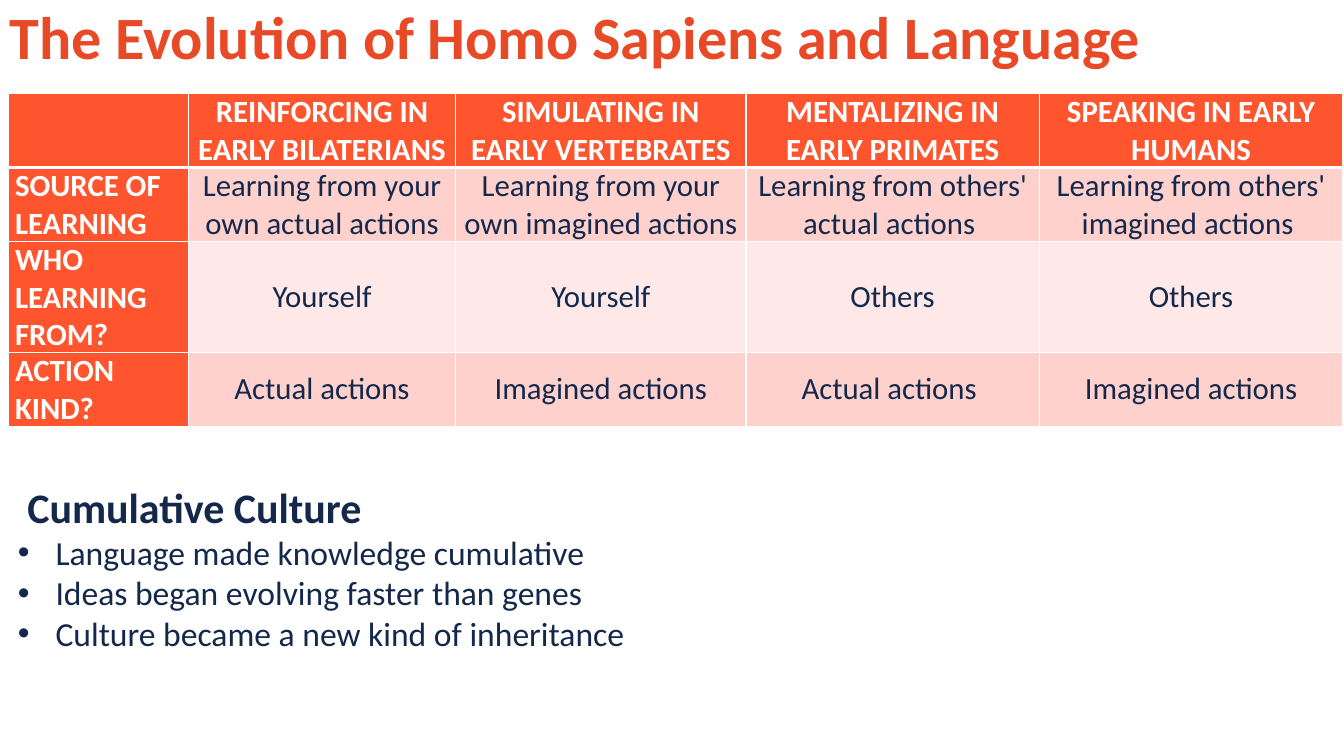
from lxml.etree import SubElement
from pptx import Presentation
from pptx.dml.color import RGBColor
from pptx.enum.text import MSO_ANCHOR as Anchor, PP_ALIGN as Align
from pptx.oxml.ns import qn
from pptx.util import Cm, Pt

COLORS = {
    "title": "E84A27",
    "navy": "13284B",
    "white": "FFFFFF",
    "header": "FF552E",
    "band_dark": "FFD1CD",
    "band_light": "FFE9E8",
}

COLUMN_WIDTHS = [4.55, 6.73, 7.32, 7.39, 7.65]
ROW_HEIGHTS = [1.7, 1.52, 2.57, 1.7]
STAGES = [
    ["", "REINFORCING IN EARLY BILATERIANS", "SIMULATING IN EARLY VERTEBRATES",
     "MENTALIZING IN EARLY PRIMATES", "SPEAKING IN EARLY HUMANS"],
    ["SOURCE OF LEARNING", "Learning from your own actual actions",
     "Learning from your own imagined actions",
     "Learning from others' actual actions ",
     "Learning from others' imagined actions "],
    ["WHO LEARNING FROM?", "Yourself", "Yourself", "Others", "Others"],
    ["ACTION KIND?", "Actual actions", "Imagined actions",
     "Actual actions ", "Imagined actions"],
]
CULTURE_POINTS = [
    "Language made knowledge cumulative",
    "Ideas began evolving faster than genes",
    "Culture became a new kind of inheritance",
]


class SlideBuilder:
    font_name = "Calibri"

    def __init__(self, slide):
        self.slide = slide

    def color(self, name):
        return RGBColor.from_string(COLORS[name])

    def style(self, paragraph, size, color, bold=False):
        font = paragraph.font
        font.name, font.size, font.bold = self.font_name, Pt(size), bold
        font.color.rgb = self.color(color)

    def text_frame(self, left, top, width, height):
        box = self.slide.shapes.add_textbox(Cm(left), Cm(top), Cm(width), Cm(height))
        box.text_frame.word_wrap = True
        return box.text_frame

    def title(self, text, *place):
        frame = self.text_frame(*place)
        frame.vertical_anchor = Anchor.MIDDLE
        heading = frame.paragraphs[0]
        heading.text = text
        heading.line_spacing = 0.9
        self.style(heading, 42.9, "title", bold=True)

    def bullet_list(self, heading_text, points, *place):
        frame = self.text_frame(*place)
        heading = frame.paragraphs[0]
        heading.text = heading_text
        self.style(heading, 30, "navy", bold=True)
        for text in points:
            point = frame.add_paragraph()
            point.text = text
            props = point._p.get_or_add_pPr()
            props.set("marL", str(Cm(0.95)))
            props.set("indent", str(-Cm(0.95)))
            SubElement(props, qn("a:buFont"), typeface="Arial")
            SubElement(props, qn("a:buChar"), char="•")
            self.style(point, 24, "navy")

    def borders(self, cell, bottom):
        props = cell._tc.get_or_add_tcPr()
        for side, width in zip("LRTB", (1, 1, 1, bottom)):
            line = SubElement(props, qn(f"a:ln{side}"), w=str(Pt(width)))
            fill = SubElement(line, qn("a:solidFill"))
            SubElement(fill, qn("a:srgbClr"), val=COLORS["white"])

    def table(self, rows, widths, heights, left, top):
        table = self.slide.shapes.add_table(
            len(rows), len(widths), Cm(left), Cm(top),
            Cm(sum(widths)), Cm(sum(heights))).table
        for column, width in zip(table.columns, widths):
            column.width = Cm(width)
        for row, height in zip(table.rows, heights):
            row.height = Cm(height)
        for r, texts in enumerate(rows):
            for c, text in enumerate(texts):
                self.cell(table.cell(r, c), text, r, c)

    def cell(self, cell, text, row, column):
        is_label = row == 0 or column == 0
        cell.margin_left = cell.margin_right = Cm(0.18)
        cell.margin_top = cell.margin_bottom = 0
        cell.vertical_anchor = Anchor.TOP if is_label else Anchor.MIDDLE
        # The rule under the header row is thicker
        self.borders(cell, bottom=3 if row == 0 else 1)
        band = "band_dark" if row % 2 else "band_light"
        cell.fill.solid()
        cell.fill.fore_color.rgb = self.color("header" if is_label else band)
        content = cell.text_frame.paragraphs[0]
        content.text = text
        content.alignment = Align.CENTER if column else Align.LEFT
        self.style(content, 22, "white" if is_label else "navy", bold=is_label)


def main():
    deck = Presentation()
    deck.slide_width, deck.slide_height = Cm(33.87), Cm(19.05)
    builder = SlideBuilder(deck.slides.add_slide(deck.slide_layouts[6]))

    # Title
    builder.title("The Evolution of Homo Sapiens and Language", 0, 0, 31.9, 2.03)

    # Cumulative culture
    builder.bullet_list(" Cumulative Culture", CULTURE_POINTS, 0.2, 12.01, 33.66, 5.64)

    # Stages of learning
    builder.table(STAGES, COLUMN_WIDTHS, ROW_HEIGHTS, 0.2, 2.36)

    deck.save("out.pptx")


if __name__ == "__main__":
    main()
